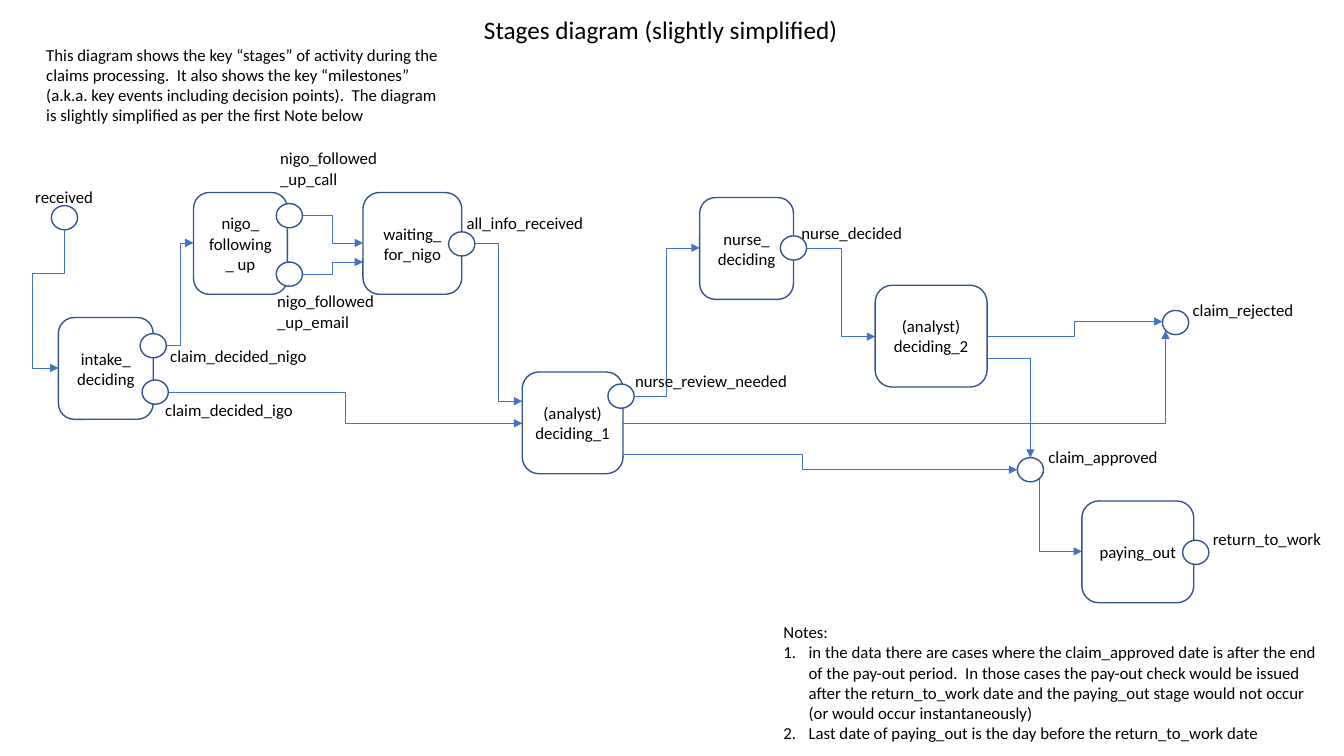
from typing import NamedTuple

from lxml.etree import SubElement
from pptx import Presentation
from pptx.dml.color import RGBColor
from pptx.enum.shapes import MSO_CONNECTOR, MSO_SHAPE
from pptx.enum.text import MSO_ANCHOR, MSO_AUTO_SIZE, PP_ALIGN
from pptx.oxml.ns import qn
from pptx.util import Inches, Pt

BLACK = RGBColor(0x00, 0x00, 0x00)
WHITE = RGBColor(0xFF, 0xFF, 0xFF)
EDGE = RGBColor(0x32, 0x54, 0x91)
FLOW = RGBColor(0x44, 0x72, 0xC4)
FONT = "Calibri"
STAGE_H = 1.01
DOT_W, DOT_H = 0.26, 0.24
LINE_H = 0.3


class Stage(NamedTuple):
    """A rounded box for one stage of activity."""
    text: str
    left: float
    top: float
    width: float
    inset: float = 0.1


class Event(NamedTuple):
    """A milestone circle with its label."""
    text: str
    left: float
    top: float
    tag_x: float
    tag_y: float
    tag_w: float
    wrap: bool = False


class Flow(NamedTuple):
    """An elbow arrow; down means that it leaves vertically."""
    x1: float
    y1: float
    x2: float
    y2: float
    kind: str = "bentConnector3"
    down: bool = False
    bends: tuple[int, ...] = ()


STAGES = [
    Stage("intake_ deciding", 0.58, 3.15, 0.94, 0),
    Stage("nigo_ following_ up", 1.92, 1.91, 0.93),
    Stage("waiting_ for_nigo", 3.6, 1.91, 0.98),
    Stage("(analyst) deciding_1", 5.18, 3.69, 1, 0),
    Stage("nurse_ deciding", 6.94, 1.96, 0.93),
    Stage("(analyst) deciding_2", 8.68, 2.83, 1.11),
    Stage("paying_out", 10.73, 4.97, 1.11),
]

EVENTS = [
    Event("received", 0.51, 2.04, 0.25, 1.8, 0.78),
    Event("claim_decided_nigo", 1.39, 3.31, 1.59, 3.38, 1.57),
    Event("claim_decided_igo", 1.41, 3.77, 1.54, 3.92, 1.48),
    Event("nigo_followed_up_call", 2.74, 2.02, 2.68, 1.42, 1.21, True),
    Event("nigo_followed_up_email", 2.74, 2.6, 2.65, 2.84, 1.18, True),
    Event("all_info_received", 4.45, 2.3, 4.53, 2.06, 1.37),
    Event("nurse_review_needed", 6.03, 3.81, 6.2, 3.63, 1.72),
    Event("nurse_decided", 7.74, 2.34, 7.85, 2.16, 1.21),
    Event("claim_approved", 10.09, 4.54, 10.3, 4.38, 1.3),
    Event("claim_rejected", 11.53, 3.08, 11.73, 2.92, 1.21),
    Event("return_to_work", 11.73, 5.36, 11.93, 5.2, 1.29),
]

FLOWS = [
    Flow(0.64, 2.28, 0.58, 3.65, "bentConnector4", True, (31600, 526800)),
    Flow(1.65, 3.43, 1.92, 2.41),
    Flow(1.67, 3.89, 5.18, 4.2),
    Flow(3, 2.14, 3.6, 2.41),
    Flow(3, 2.72, 3.6, 2.6),
    Flow(4.7, 2.41, 5.18, 3.98),
    Flow(5.82, 4.51, 10.09, 4.66),
    Flow(5.82, 4.2, 11.56, 3.28, "bentConnector2"),
    Flow(6.28, 3.93, 6.94, 2.46),
    Flow(8, 2.46, 8.68, 3.34),
    Flow(9.79, 3.34, 11.53, 3.19),
    Flow(9.78, 3.56, 10.22, 4.54, "bentConnector2"),
    Flow(10.31, 4.74, 10.73, 5.47, "bentConnector2", True),
]

INTRO = (
    "This diagram shows the key “stages” of activity during the claims "
    "processing.  It also shows the key “milestones” (a.k.a. key events "
    "including decision points).  The diagram is slightly simplified as per "
    "the first Note below"
)
NOTES = [
    "Notes:",
    "in the data there are cases where the claim_approved date is after the "
    "end of the pay-out period.  In those cases the pay-out check would be "
    "issued after the return_to_work date and the paying_out stage would not "
    "occur (or would occur instantaneously)",
    "Last date of paying_out is the day before the return_to_work date",
]


def write(shape, *lines: str, size: float = 12, align=PP_ALIGN.LEFT,
          anchor=MSO_ANCHOR.TOP, wrap: bool = True, inset: float = 0.1) -> None:
    """Fill a shape with formatted paragraphs."""
    frame = shape.text_frame
    frame.text = "\n".join(lines)
    frame.auto_size = MSO_AUTO_SIZE.NONE
    frame.word_wrap = wrap
    frame.vertical_anchor = anchor
    frame.margin_left = frame.margin_right = Inches(inset)
    frame.margin_top = frame.margin_bottom = Inches(0.05)
    for para in frame.paragraphs:
        para.alignment = align
        para.space_before = para.space_after = Pt(0)
        para.line_spacing = 1.0
        for run in para.runs:
            run.font.name = FONT
            run.font.size = Pt(size)
            run.font.color.rgb = BLACK


def place(shape, left: float, top: float, width: float, height: float) -> None:
    """Move and size a placeholder."""
    shape.left, shape.top = Inches(left), Inches(top)
    shape.width, shape.height = Inches(width), Inches(height)


def label(slide, text: str, left: float, top: float, width: float,
          height: float, wrap: bool) -> None:
    """Add a plain text box."""
    box = slide.shapes.add_textbox(
        Inches(left), Inches(top), Inches(width), Inches(height))
    write(box, text, wrap=wrap)


def node(slide, kind, left: float, top: float, width: float, height: float):
    """Add a white outlined shape."""
    shape = slide.shapes.add_shape(
        kind, Inches(left), Inches(top), Inches(width), Inches(height))
    shape.shadow.inherit = False
    shape.fill.solid()
    shape.fill.fore_color.rgb = WHITE
    shape.line.color.rgb = EDGE
    shape.line.width = Pt(1)
    return shape


def draw_stage(slide, stage: Stage) -> None:
    """Draw a stage box with its name."""
    box = node(slide, MSO_SHAPE.ROUNDED_RECTANGLE, stage.left, stage.top,
               stage.width, STAGE_H)
    write(box, stage.text, align=PP_ALIGN.CENTER, anchor=MSO_ANCHOR.MIDDLE,
          inset=stage.inset)


def draw_event(slide, event: Event) -> None:
    """Draw a milestone circle and its label."""
    node(slide, MSO_SHAPE.OVAL, event.left, event.top, DOT_W, DOT_H)
    height = 0.5 if event.wrap else LINE_H
    label(slide, event.text, event.tag_x, event.tag_y, event.tag_w, height,
          event.wrap)


def draw_flow(slide, flow: Flow) -> None:
    """Draw an elbow arrow, turned a quarter when it leaves downwards."""
    x1, y1, x2, y2 = flow[:4]
    if flow.down:
        mid_x, mid_y = (x1 + x2) / 2, (y1 + y2) / 2
        half_w, half_h = (y2 - y1) / 2, (x2 - x1) / 2
        x1, x2 = mid_x - half_w, mid_x + half_w
        y1, y2 = mid_y + half_h, mid_y - half_h
    line = slide.shapes.add_connector(
        MSO_CONNECTOR.ELBOW, Inches(x1), Inches(y1), Inches(x2), Inches(y2))
    line.line.color.rgb = FLOW
    line.line.width = Pt(0.5)
    props = line._element.spPr
    if flow.down:
        props.find(qn("a:xfrm")).set("rot", str(90 * 60000))
    shape = props.find(qn("a:prstGeom"))
    shape.set("prst", flow.kind)
    for num, bend in enumerate(flow.bends, 1):
        SubElement(shape.find(qn("a:avLst")), qn("a:gd"),
                   name=f"adj{num}", fmla=f"val {bend}")
    SubElement(props.find(qn("a:ln")), qn("a:tailEnd"), type="triangle")
    SubElement(props, qn("a:effectLst"))


def draw_notes(body) -> None:
    """Write the notes heading and its numbered list."""
    place(body, 7.67, 6.12, 5.59, 1.31)
    write(body, *NOTES)
    for num, para in enumerate(body.text_frame.paragraphs):
        props = para._p.get_or_add_pPr()
        dent = Inches(0.25) if num else 0
        props.set("marL", str(dent))
        props.set("indent", str(-dent))
        if num:
            SubElement(props, qn("a:buFont"), typeface="+mj-lt")
            SubElement(props, qn("a:buAutoNum"), type="arabicPeriod")
        else:
            SubElement(props, qn("a:buNone"))


def main() -> None:
    """Build and save the slide."""
    deck = Presentation()
    deck.slide_width, deck.slide_height = Inches(13.33), Inches(7.5)
    slide = deck.slides.add_slide(deck.slide_layouts[1])
    title, body = slide.placeholders
    place(title, 4.7, 0.09, 3.75, 0.4)
    write(title, "Stages diagram (slightly simplified)", size=18, wrap=False)
    draw_notes(body)
    label(slide, INTRO, 0.36, 0.39, 4.09, 0.91, True)
    for flow in FLOWS:
        draw_flow(slide, flow)
    for stage in STAGES:
        draw_stage(slide, stage)
    for event in EVENTS:
        draw_event(slide, event)
    deck.save("out.pptx")


main()
